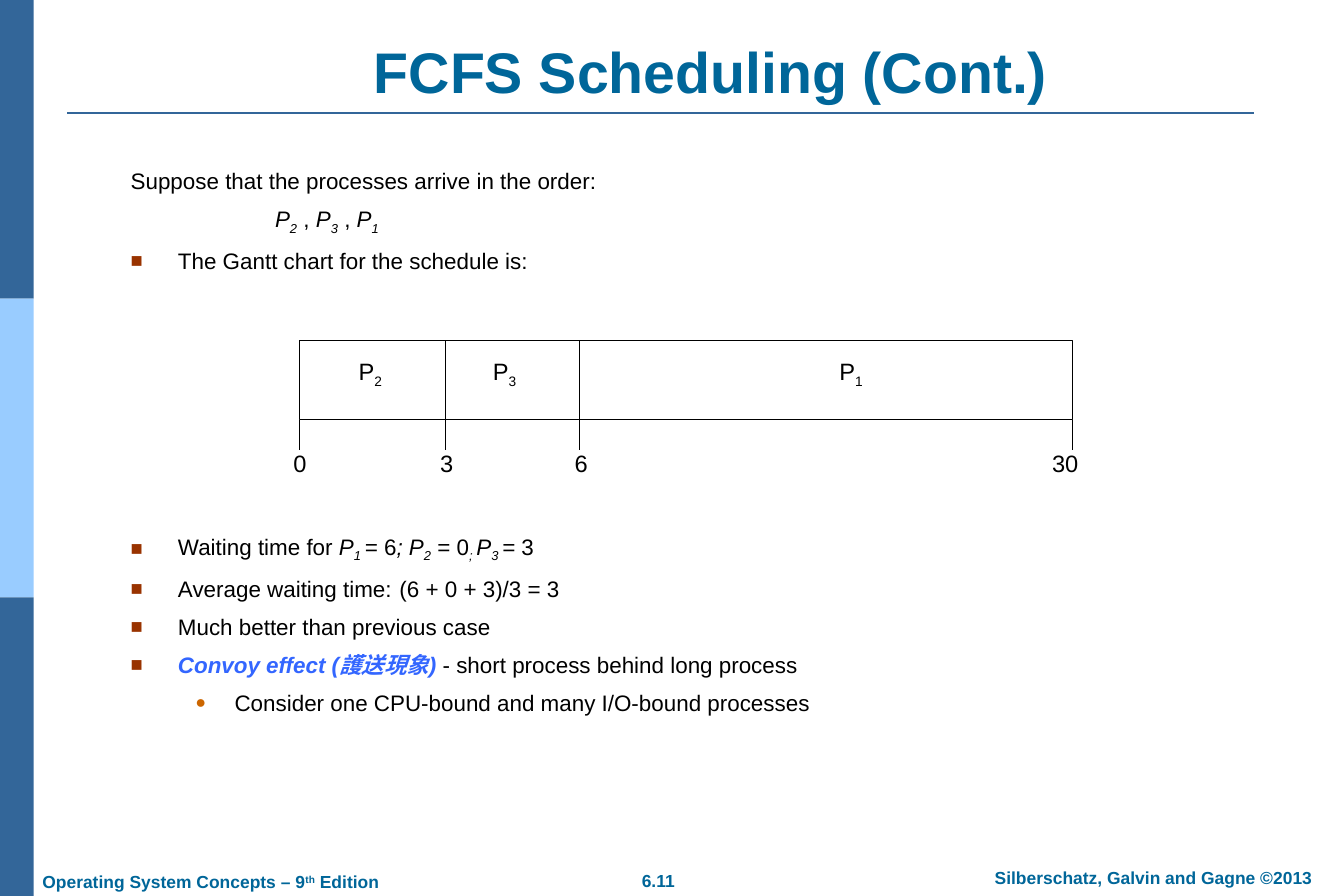
from pptx import Presentation
from pptx.dml.color import RGBColor
from pptx.enum.shapes import MSO_CONNECTOR, MSO_SHAPE
from pptx.enum.text import MSO_ANCHOR, MSO_AUTO_SIZE, PP_ALIGN
from pptx.oxml.ns import qn
from pptx.util import Pt
from lxml.etree import SubElement

BLACK, WHITE = "000000", "FFFFFF"
NAVY, SKY, TEAL, LINK = "336699", "99CCFF", "006699", "3366FF"
SQUARE = ("■", "993300", 90)
DOT = ("●", "CC6600", 80)
LEFT, MID = PP_ALIGN.LEFT, PP_ALIGN.CENTER


def color(code):
    return RGBColor.from_string(code)


def place(shape, x, y, w, h):
    shape.left, shape.top, shape.width, shape.height = Pt(x), Pt(y), Pt(w), Pt(h)


def set_frame(shape, anchor, pad_x=10, pad_y=5):
    frame = shape.text_frame
    frame.word_wrap = True
    frame.auto_size = MSO_AUTO_SIZE.NONE
    frame.vertical_anchor = anchor
    frame.margin_left = frame.margin_right = Pt(pad_x)
    frame.margin_top = frame.margin_bottom = Pt(pad_y)
    return frame


def add_runs(para, runs, size, ink):
    """Add (text, style) runs: b bold, i italic, - subscript, + superscript."""
    for text, style in runs:
        run = para.add_run()
        run.text = text
        font = run.font
        font.name, font.size = "Arial", Pt(size)
        font.bold, font.italic = "b" in style, "i" in style
        font.color.rgb = color(LINK if "link" in style.split() else ink)
        shift = "-25000" if "-" in style else "30000" if "+" in style else None
        if shift:
            run._r.get_or_add_rPr().set("baseline", shift)


def add_text(shapes, box, runs, size, ink, align=MID, pad=(10, 5)):
    shape = shapes.add_textbox(*map(Pt, box))
    para = set_frame(shape, MSO_ANCHOR.MIDDLE, *pad).paragraphs[0]
    para.alignment = align
    add_runs(para, runs, size, ink)


def add_rect(shapes, box, fill, line=None):
    shape = shapes.add_shape(MSO_SHAPE.RECTANGLE, *map(Pt, box))
    shape.shadow.inherit = False
    shape.fill.solid()
    shape.fill.fore_color.rgb = color(fill)
    if line:
        shape.line.color.rgb = color(line)
        shape.line.width = Pt(0.75)
    else:
        shape.line.fill.background()


def add_line(shapes, ends, ink, width):
    line = shapes.add_connector(MSO_CONNECTOR.STRAIGHT, *map(Pt, ends))
    line.line.color.rgb = color(ink)
    line.line.width = Pt(width)
    SubElement(line._element.spPr, qn("a:effectLst"))


def set_list(para, margin, hang, bullet, tab):
    props = para._p.get_or_add_pPr()
    props.set("marL", str(Pt(margin)))
    props.set("indent", str(Pt(-hang)))
    if bullet:
        char, ink, scale = bullet
        tint = SubElement(props, qn("a:buClr"))
        SubElement(tint, qn("a:srgbClr"), val=ink)
        SubElement(props, qn("a:buSzPct"), val=str(scale * 1000))
        SubElement(props, qn("a:buFont"), typeface="Arial")
        SubElement(props, qn("a:buChar"), char=char)
    else:
        SubElement(props, qn("a:buNone"))
    if tab:
        tabs = SubElement(props, qn("a:tabLst"))
        SubElement(tabs, qn("a:tab"), pos=str(Pt(tab)), algn="l")


def add_item(frame, runs, bullet=SQUARE, margin=38, hang=38, gap=9, level=0, tab=None):
    first = not frame.paragraphs[0].runs
    para = frame.paragraphs[0] if first else frame.add_paragraph()
    set_list(para, margin, hang, bullet, tab)
    para.level = level
    para.alignment = LEFT
    para.line_spacing = 1.0
    para.space_before = Pt(0 if first else gap)
    add_runs(para, runs, 18, BLACK)


def add_frame(shapes):
    """Side bands, title rule and footer."""
    for row, fill in enumerate((NAVY, SKY, NAVY)):
        add_rect(shapes, (0, 240 * row, 27, 240), fill)
    add_line(shapes, (54, 90.5, 1008, 90.5), NAVY, 1.5)
    edition = [("Operating System Concepts – 9", "b"), ("th", "b+"), (" Edition", "b")]
    add_text(shapes, (24, 695, 300, 27), edition, 14, TEAL, LEFT)
    add_text(shapes, (479, 694, 100, 27), [("6.11", "b")], 14, TEAL)
    owner = [("Silberschatz, Galvin and Gagne ©2013", "b")]
    add_text(shapes, (767, 692, 320, 27), owner, 14, TEAL)


def add_title(shape):
    place(shape, 116, 29, 910, 60)
    para = set_frame(shape, MSO_ANCHOR.BOTTOM).paragraphs[0]
    para.alignment = MID
    add_runs(para, [("FCFS Scheduling (Cont.)", "b")], 46, TEAL)


def add_body(shape):
    place(shape, 95, 129.5, 972, 476)
    frame = set_frame(shape, MSO_ANCHOR.TOP)
    add_item(frame, [("Suppose that the processes arrive in the order:", "")], None)
    add_item(frame, [("P", "i"), ("2", "i-"), (" , ", ""), ("P", "i"), ("3", "i-"),
                     (" , ", ""), ("P", "i"), ("1", "i-")], None, 116, 0)
    add_item(frame, [("The Gantt chart for the schedule is:", "")])
    add_item(frame, [("Waiting time for ", ""), ("P", "i"), ("1 ", "i-"), ("=", "i"),
                     (" 6", ""), ("; P", "i"), ("2", "i-"), (" = 0", ""), ("; ", "i-"),
                     ("P", "i"), ("3 ", "i-"), ("= ", "i"), ("3", "")], gap=208)
    add_item(frame, [("Average waiting time:\t(6 + 0 + 3)/3 = 3", "")], tab=187)
    add_item(frame, [("Much better than previous case", "")])
    add_item(frame, [("Convoy effect (護送現象) ", "b link"),
                     ("- short process behind long process", "")])
    add_item(frame, [("Consider one CPU-bound and many I/O-bound processes", "")],
             DOT, 83.5, 31.5, level=1)


def add_gantt(shapes):
    left, right, top, base = 241, 862, 273.5, 337.5
    add_rect(shapes, (left, top, right - left, base - top), WHITE, BLACK)
    for num, x in (("2", 297.5), ("3", 405.5), ("1", 684)):
        name = [("P", ""), (num, "-")]
        add_text(shapes, (x - 20, 283.5, 40, 33), name, 19, BLACK, pad=(0, 0))
    for time, x, mid in (("0", left, 241), ("3", 358, 359),
                         ("6", 466, 467), ("30", right, 856)):
        start = base if x in (left, right) else top
        add_line(shapes, (x, start, x, 361.5), BLACK, 0.75)
        add_text(shapes, (mid - 20, 357, 40, 30), [(time, "")], 19, BLACK, pad=(0, 0))


def main():
    deck = Presentation()
    deck.slide_width, deck.slide_height = Pt(1080), Pt(720)
    slide = deck.slides.add_slide(deck.slide_layouts[1])
    add_frame(slide.shapes)
    add_title(slide.shapes.title)
    add_body(slide.placeholders[1])
    add_gantt(slide.shapes.add_group_shape().shapes)
    deck.save("out.pptx")


if __name__ == "__main__":
    main()
